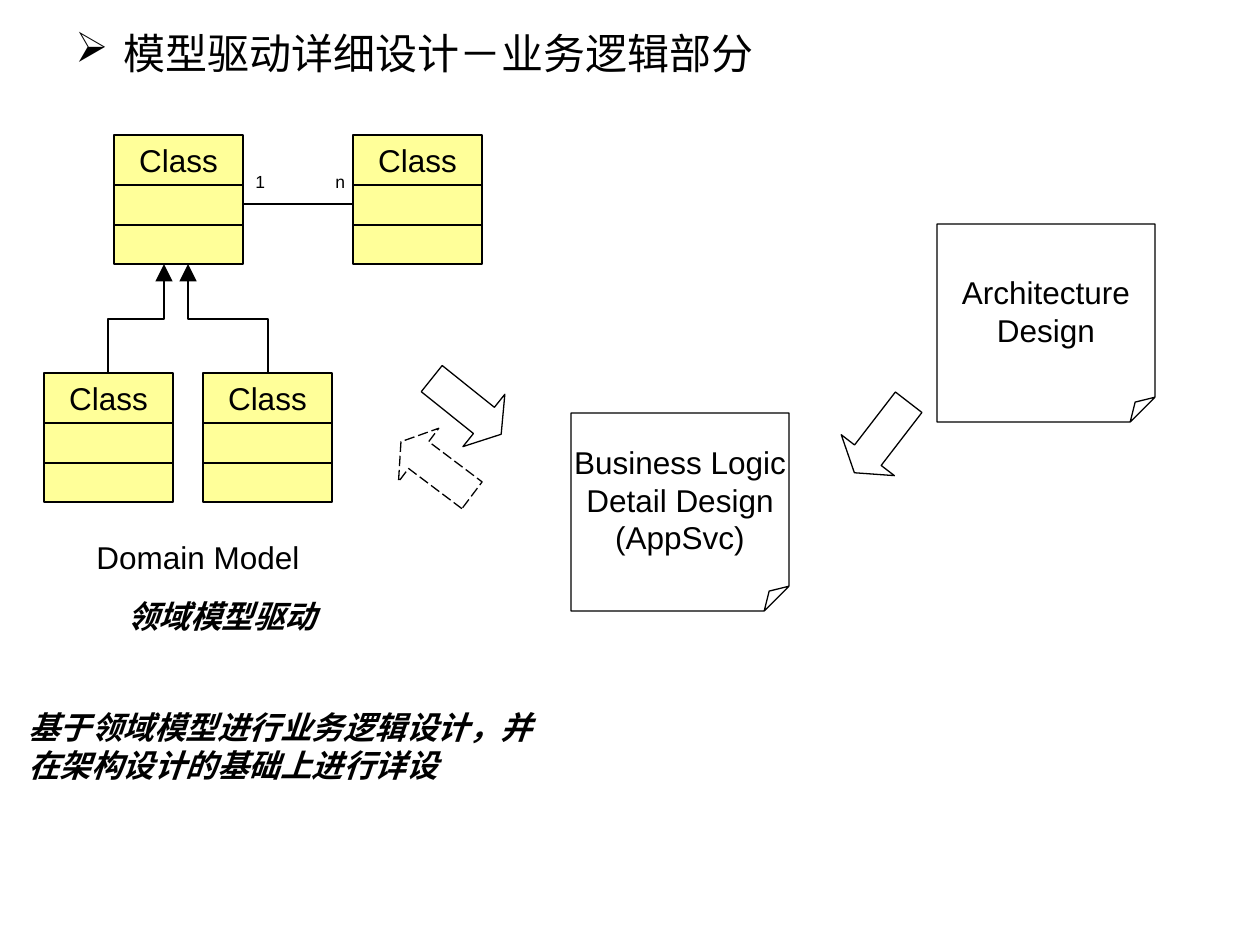
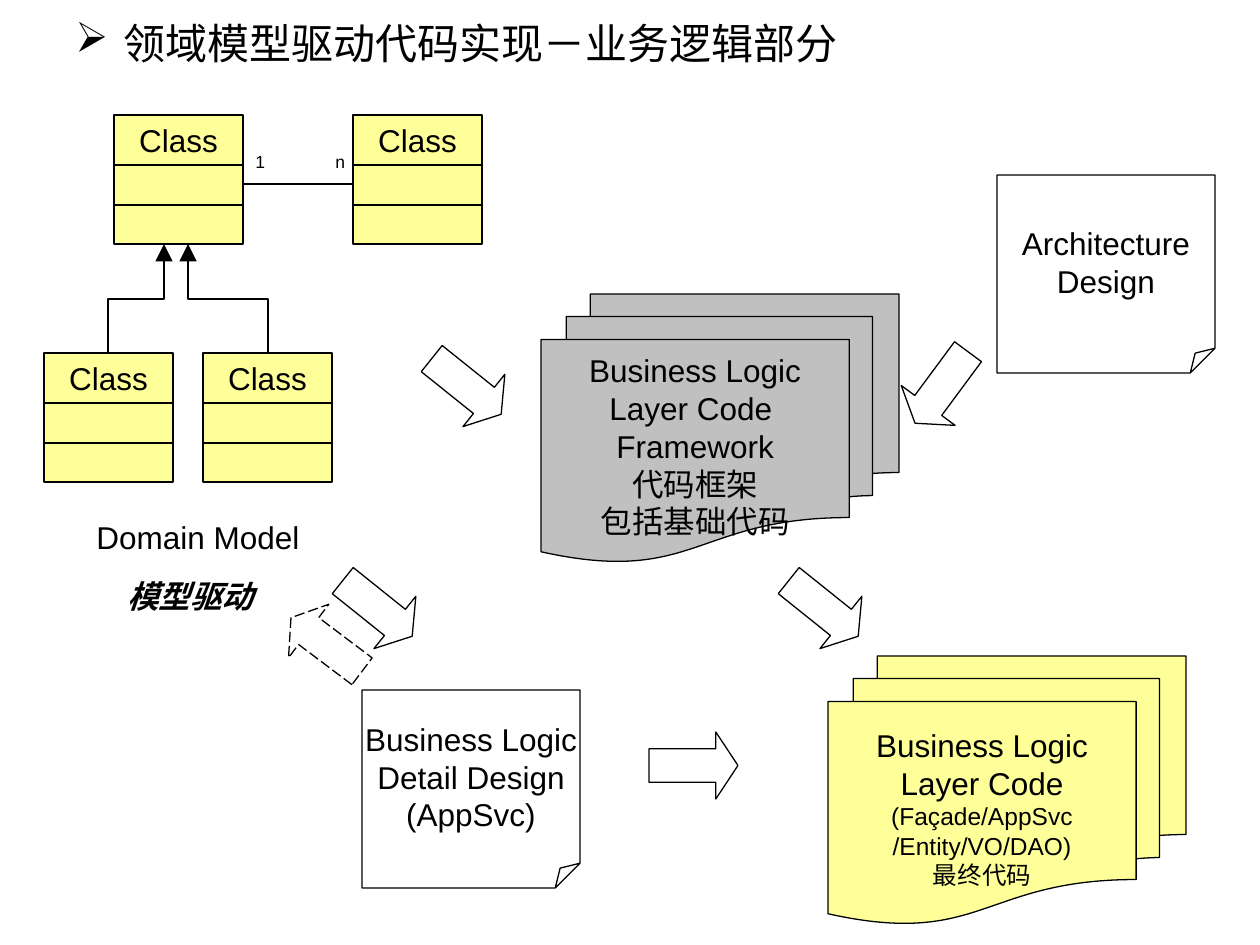
"""Build two slides on domain-model-driven design and code of business logic."""
from dataclasses import dataclass

from lxml import etree
from pptx import Presentation
from pptx.dml.color import RGBColor
from pptx.enum.dml import MSO_LINE
from pptx.enum.shapes import MSO_CONNECTOR, MSO_SHAPE
from pptx.enum.text import MSO_ANCHOR, MSO_AUTO_SIZE, PP_ALIGN
from pptx.oxml.ns import qn
from pptx.util import Pt

RECT, NOTE = MSO_SHAPE.RECTANGLE, MSO_SHAPE.FOLDED_CORNER
STACK, ARROW = MSO_SHAPE.FLOWCHART_MULTIDOCUMENT, MSO_SHAPE.RIGHT_ARROW
LINE, ELBOW = MSO_CONNECTOR.STRAIGHT, MSO_CONNECTOR.ELBOW
LEFT, MID = PP_ALIGN.LEFT, PP_ALIGN.CENTER
TOP, CENTER = MSO_ANCHOR.TOP, MSO_ANCHOR.MIDDLE
GROW, DASH = MSO_AUTO_SIZE.SHAPE_TO_FIT_TEXT, MSO_LINE.LONG_DASH
PX = 914400 // 126


@dataclass(frozen=True)
class Theme:
    """Colours, fonts and type sizes."""
    ink = RGBColor(0, 0, 0)
    yellow = RGBColor(0xFF, 0xFF, 0x99)
    grey = RGBColor(0xC0, 0xC0, 0xC0)
    latin = "Arial"
    asian = "Noto Sans CJK SC"
    title = 24
    body = 18
    small = 14
    tiny = 10
    rule = Pt(0.75)


def draw(shapes, kind, x, y, w, h, fill=None):
    """Add an outlined preset shape."""
    shape = shapes.add_shape(kind, x * PX, y * PX, w * PX, h * PX)
    shape.shadow.inherit = False
    if fill is None:
        shape.fill.background()
    else:
        shape.fill.solid()
        shape.fill.fore_color.rgb = fill
    shape.line.color.rgb = Theme.ink
    shape.line.width = Theme.rule
    return shape


def write(shape, rows, align=MID, anchor=CENTER, wrap=False, slant=False, font=Theme.latin):
    """Fill a shape with (text, size) rows, one paragraph each."""
    frame = shape.text_frame
    frame.word_wrap = wrap
    frame.vertical_anchor = anchor
    for i, (text, size) in enumerate(rows):
        para = frame.add_paragraph() if i else frame.paragraphs[0]
        para.alignment = align
        run = para.add_run()
        run.text = text
        run.font.size = Pt(size)
        run.font.name = font
        run.font.color.rgb = Theme.ink
        if slant:
            run.font.bold = run.font.italic = True
        etree.SubElement(run._r.get_or_add_rPr(), qn("a:ea")).set("typeface", Theme.asian)
    return frame


B, S = Theme.body, Theme.small
DETAIL = [("Business Logic", B), ("Detail Design", B), ("(AppSvc)", B)]
ARCH = [("Architecture", B), ("Design", B)]
FRAME = [("Business Logic", B), ("Layer Code ", B), ("Framework", B), ("代码框架", B), ("包括基础代码", B)]
CODE = [("Business Logic", B), ("Layer Code", B), ("(Façade/AppSvc", S), ("/Entity/VO/DAO)", S), ("最终代码", S)]

PAGES = [
    dict(
        title="模型驱动详细设计－业务逻辑部分", head=20, base=135,
        motto=("领域模型驱动", 214),
        notes=[(571, 413, DETAIL), (937, 224, ARCH)],
        stacks=[],
        arrows=[(422, 373, 38.7), (837, 404, 127.6), (392, 435, 217)],
        closing="基于领域模型进行业务逻辑设计，并在架构设计的基础上进行详设",
    ),
    dict(
        title="领域模型驱动代码实现－业务逻辑部分", head=10, base=115,
        motto=("模型驱动", 151),
        notes=[(362, 690, DETAIL), (997, 175, ARCH)],
        stacks=[(828, 656, Theme.yellow, CODE), (541, 294, Theme.grey, FRAME)],
        arrows=[(422, 353, 38.7), (333, 575, 38.7), (649, 732, 0), (897, 354, 126.5),
                (779, 575, 38.7), (282, 611, 217)],
        closing=None,
    ),
]
SIDE, DROP, HALF = 129, 238, 55

deck = Presentation()
deck.slide_width, deck.slide_height = 1260 * PX, 945 * PX

for page in PAGES:
    shapes = deck.slides.add_slide(deck.slide_layouts[6]).shapes
    base = page["base"]

    box = shapes.add_textbox(63 * PX, page["head"] * PX, 1040 * PX, 66 * PX)
    props = box.text_frame.paragraphs[0]._p.get_or_add_pPr()
    props.set("marL", str(48 * PX))
    props.set("indent", str(-48 * PX))
    tint = etree.SubElement(props, qn("a:buClr"))
    etree.SubElement(tint, qn("a:srgbClr")).set("val", str(Theme.ink))
    etree.SubElement(props, qn("a:buChar")).set("char", "➢")
    write(box, [(page["title"], Theme.title)], LEFT, wrap=True, font=Theme.asian)

    model = shapes.add_group_shape().shapes
    lines = [(LINE, 352, base + 69, 243, base + 69, 0)]
    for x, y in [(114, base), (353, base), (203, base + DROP), (44, base + DROP)]:
        write(draw(model, RECT, x, y, SIDE, SIDE, Theme.yellow), [("Class", B)], anchor=TOP)
        lines += [(LINE, x, y + gap, x + SIDE, y + gap, 0) for gap in (50, 90)]
    for tip, foot, way, turn in [(164, 108, 1, 90), (188, 268, -1, 270)]:
        axis, mid, rise = (tip + foot) // 2, base + SIDE + HALF, abs(foot - tip) // 2
        lines.append((ELBOW, axis - way * HALF, mid - rise, axis + way * HALF, mid + rise, turn))

    for kind, x1, y1, x2, y2, turn in lines:
        link = model.add_connector(kind, x1 * PX, y1 * PX, x2 * PX, y2 * PX)
        link.line.color.rgb = Theme.ink
        link.line.width = Theme.rule
        props = link.element.spPr
        if turn:
            props.find(qn("a:xfrm")).set("rot", str(turn * 60000))
            head = etree.SubElement(props.find(qn("a:ln")), qn("a:headEnd"))
            for key, val in [("type", "triangle"), ("w", "lg"), ("len", "lg")]:
                head.set(key, val)
        etree.SubElement(props, qn("a:effectLst"))

    for text, size, x, y, w, h in [
        ("1", Theme.tiny, 243, 30, 34, 34),
        ("n", Theme.tiny, 323, 30, 34, 34),
        ("Domain Model", B, 84, 397, 228, 50),
    ]:
        box = model.add_textbox(x * PX, (base + y) * PX, w * PX, h * PX)
        write(box, [(text, size)], anchor=TOP).auto_size = GROW

    for x, y, rows in page["notes"]:
        note = draw(shapes, NOTE, x, y, 218, 198)
        fold = etree.SubElement(note.element.spPr.find(qn("a:prstGeom")).find(qn("a:avLst")), qn("a:gd"))
        fold.set("name", "adj")
        fold.set("fmla", "val 12500")
        write(note, rows)
    for x, y, fill, rows in page["stacks"]:
        write(draw(shapes, STACK, x, y, 358, 268, fill), rows)
    for x, y, turn in page["arrows"]:
        arrow = draw(shapes, ARROW, x, y, 89, 67)
        arrow.adjustments[0], arrow.adjustments[1] = 0.5, 0.33
        arrow.rotation = turn
        if turn == 217:
            arrow.line.dash_style = DASH

    motto, width = page["motto"]
    box = shapes.add_textbox(115 * PX, (base + 456) * PX, width * PX, 50 * PX)
    write(box, [(motto, B)], LEFT, TOP, slant=True).auto_size = GROW
    if page["closing"]:
        box = shapes.add_textbox(16 * PX, 702 * PX, 543 * PX, 88 * PX)
        write(box, [(page["closing"], B)], LEFT, TOP, True, True).auto_size = GROW

deck.save("out.pptx")
